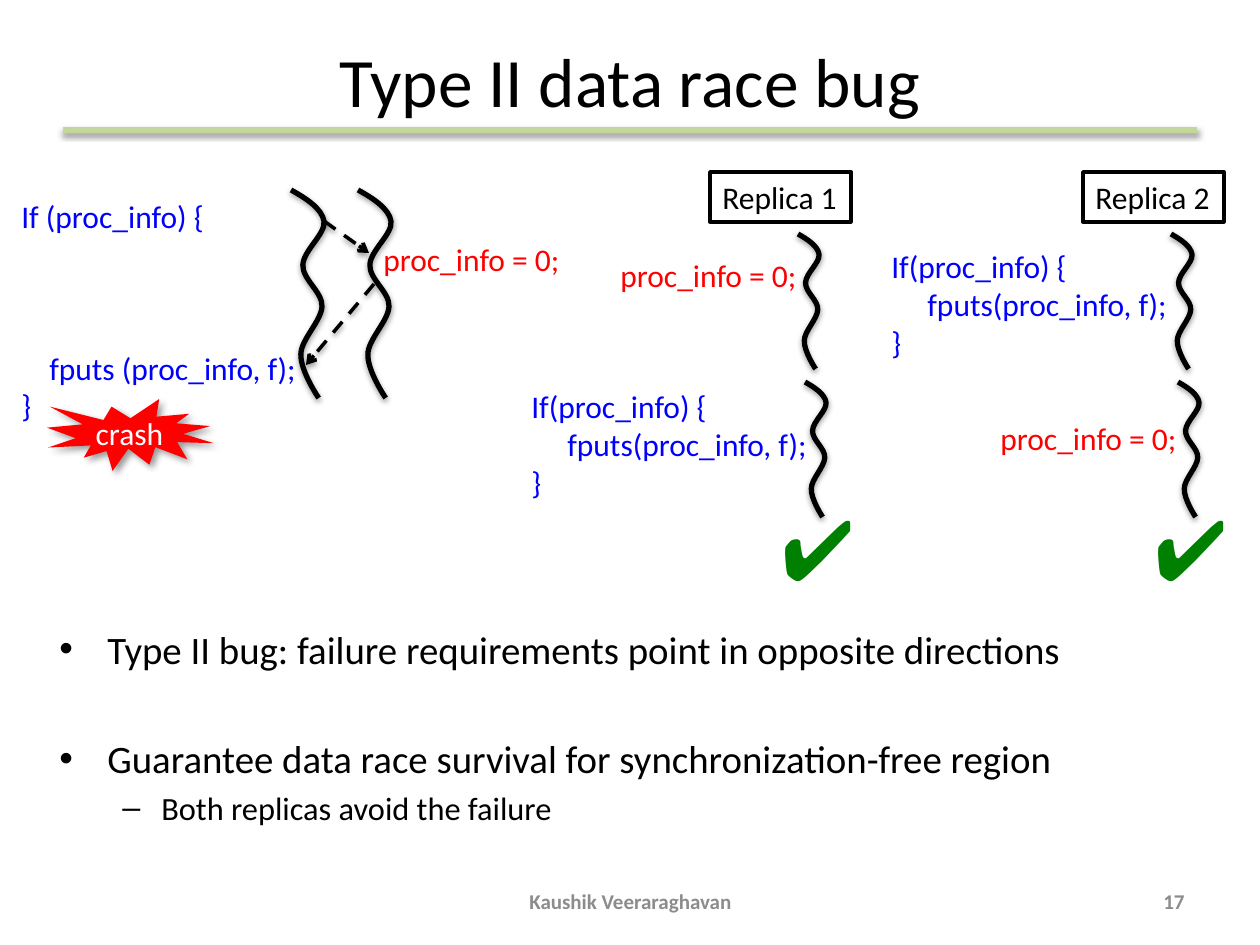
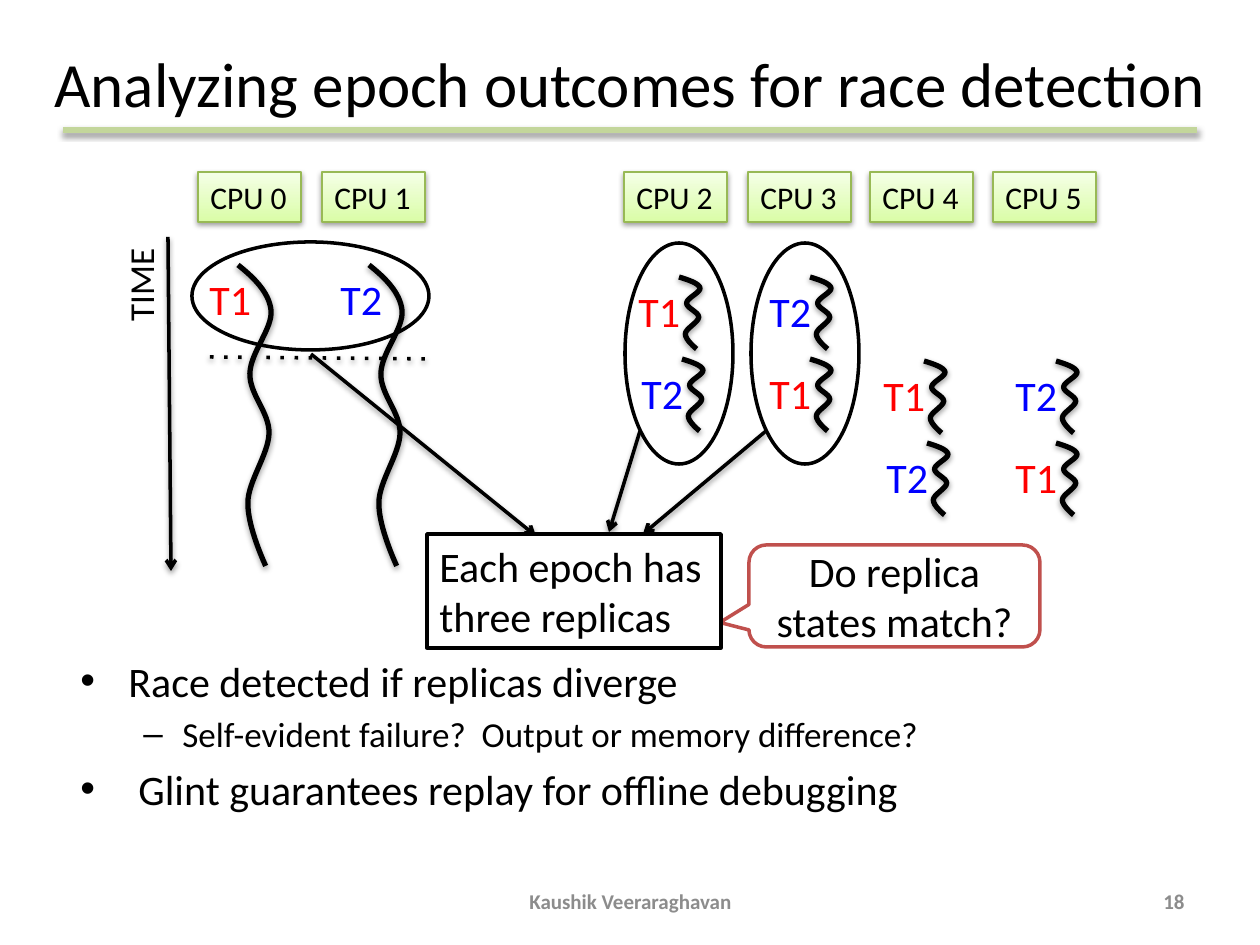
"""Build two slides on data race bugs and race detection from replica outcomes."""
from lxml.etree import SubElement
from pptx import Presentation
from pptx.dml.color import RGBColor
from pptx.enum.shapes import MSO_CONNECTOR, MSO_SHAPE
from pptx.enum.text import MSO_ANCHOR, MSO_AUTO_SIZE, PP_ALIGN
from pptx.oxml.ns import qn
from pptx.util import Pt

SCALE = 914400 / 126
BLACK = RGBColor(0x00, 0x00, 0x00)
WHITE = RGBColor(0xFF, 0xFF, 0xFF)
RED = RGBColor(0xFF, 0x00, 0x00)
BLUE = RGBColor(0x00, 0x00, 0xFF)
GREEN = RGBColor(0x00, 0x80, 0x00)
GRAY = RGBColor(0x8C, 0x8C, 0x8C)
RULE_GREEN = RGBColor(0xC3, 0xD6, 0x9B)
CPU_BORDER = RGBColor(0x98, 0xB9, 0x55)
CPU_DARK = RGBColor(0xDA, 0xFD, 0xA7)
CPU_LIGHT = RGBColor(0xF5, 0xFF, 0xE7)
CALLOUT_RED = RGBColor(0xC0, 0x50, 0x4D)

SOFT_SHADOW = {"blurRad": 40000, "dist": 20000, "dir": 5400000, "alpha": 38000}
SEAL_SHADOW = {"blurRad": 50800, "dist": 38100, "dir": 2700000, "alpha": 40000}
CENTER = {"alignment": PP_ALIGN.CENTER}
RIGHT = {"alignment": PP_ALIGN.RIGHT}
BULLET = {"bullet": "•", "margin": 48, "hanging": 48}
DASH = {"bullet": "–", "margin": 102, "hanging": 39}
MIDDLE = {"vertical_anchor": MSO_ANCHOR.MIDDLE, "word_wrap": True}
TOP = {"vertical_anchor": MSO_ANCHOR.TOP, "word_wrap": True}
HUGGING = {
    "vertical_anchor": MSO_ANCHOR.TOP,
    "word_wrap": False,
    "auto_size": MSO_AUTO_SIZE.SHAPE_TO_FIT_TEXT,
}
CURVE = [
    (0, 0), (46, 4), (94, 9), (100, 15),
    (106, 21), (38, 29), (36, 36),
    (34, 43), (96, 49), (94, 56),
    (92, 63), (30, 72), (30, 79),
    (28, 87), (84, 100), (84, 100),
]
shadowed = []


def add_block(slide, box, paragraphs, frame_format=HUGGING, kind=None,
              fill=None, border=None, border_width=2):
    left, top, width, height = [round(value * SCALE) for value in box]
    if kind is None:
        shape = slide.shapes.add_textbox(left, top, width, height)
    else:
        shape = slide.shapes.add_shape(kind, left, top, width, height)
        shape.shadow.inherit = False
        if fill is None:
            shape.fill.background()
        else:
            shape.fill.solid()
            shape.fill.fore_color.rgb = fill
        if border is None:
            shape.line.fill.background()
        else:
            shape.line.color.rgb = border
            shape.line.width = Pt(border_width)
    frame = shape.text_frame
    for name, value in frame_format.items():
        setattr(frame, name, value)
    for index, (text, size, color, layout) in enumerate(paragraphs):
        paragraph = frame.add_paragraph() if index else frame.paragraphs[0]
        run = paragraph.add_run()
        run.text = text
        font_format = {
            "name": "Arial" if text == "✔" else "Calibri",
            "size": Pt(size),
            "bold": layout.get("bold", False),
        }
        for name, value in font_format.items():
            setattr(run.font, name, value)
        run.font.color.rgb = color
        paragraph.alignment = layout.get("alignment", PP_ALIGN.LEFT)
        paragraph.space_before = Pt(layout.get("space_before", 0))
        paragraph.space_after = Pt(layout.get("space_after", 0))
        properties = paragraph._p.get_or_add_pPr()
        properties.set("marL", str(round(layout.get("margin", 0) * SCALE)))
        properties.set("indent", str(round(-layout.get("hanging", 0) * SCALE)))
        if "bullet" in layout:
            SubElement(properties, qn("a:buFont"), typeface="Arial")
            SubElement(properties, qn("a:buChar"), char=layout["bullet"])
    return shape


def add_thread(slide, left, top, width, height):
    points = [((left + width * x / 100) * SCALE, (top + height * y / 100) * SCALE)
              for x, y in CURVE]
    builder = slide.shapes.build_freeform(*points[0])
    builder.add_line_segments(points[1:], close=False)
    thread = builder.convert_to_shape()
    outline = next(thread._element.iter(qn("a:path")))
    for index, segment in enumerate(outline.findall(qn("a:lnTo"))):
        if index % 3 == 0:
            curve = SubElement(outline, qn("a:cubicBezTo"))
        curve.append(segment[0])
        outline.remove(segment)
    thread.fill.background()
    thread.line.color.rgb = BLACK
    thread.line.width = Pt(3)
    thread.shadow.inherit = False
    shadowed.append((thread, SOFT_SHADOW))


presentation = Presentation()
presentation.slide_width = round(1260 * SCALE)
presentation.slide_height = round(945 * SCALE)

slides = []
for number, title, size, title_box in [
    ("17", "Type II data race bug", 39.6, (63, 38, 1134, 83)),
    ("18", "Analyzing epoch outcomes for race detection", 36, (0, 38, 1260, 89)),
]:
    slide = presentation.slides.add_slide(presentation.slide_layouts[6])
    add_block(slide, title_box, [(title, size, BLACK, CENTER)], MIDDLE)
    for text, box, alignment in [
        ("Kaushik Veeraraghavan", (431, 876, 399, 50), CENTER),
        (number, (903, 876, 294, 50), RIGHT),
    ]:
        add_block(slide, box, [(text, 12, GRAY, {**alignment, "bold": True})], MIDDLE)
    slides.append(slide)
race_slide, epoch_slide = slides

add_block(race_slide, (47, 619, 1212, 198), [
    ("Type II bug: failure requirements point in opposite directions", 22.2, BLACK, BULLET),
    ("Guarantee data race survival for synchronization-free region", 22.2, BLACK,
     {**BULLET, "space_before": 36}),
    ("Both replicas avoid the failure", 18.5, BLACK, {**DASH, "space_before": 3.7}),
], TOP)

assignment = [("proc_info = 0;", 18, RED, {})]
add_block(race_slide, (371, 234, 203, 50), assignment)
seal = add_block(race_slide, (47, 399, 167, 72), [("crash", 18, WHITE, CENTER)], MIDDLE,
                 MSO_SHAPE.EXPLOSION1, RED)
shadowed.append((seal, SEAL_SHADOW))
add_block(race_slide, (9, 191, 304, 242), [
    ("If (proc_info) {", 18, BLUE, {}),
    ("fputs (proc_info, f);", 18, BLUE, {"margin": 28, "space_before": 65}),
    ("}", 18, BLUE, {}),
])
for left in (291, 358):
    add_thread(race_slide, left, 190, 33, 208)

guarded_call = [
    ("If(proc_info) {", 18, BLUE, {}),
    ("fputs(proc_info, f);", 18, BLUE, {"margin": 36}),
    ("}", 18, BLUE, {}),
]
for replica, left, assignment_at, call_at in [
    ("Replica 1", 710, (608, 250), (519, 381)),
    ("Replica 2", 1083, (988, 413), (879, 241)),
]:
    add_block(race_slide, (*assignment_at, 203, 50), assignment)
    add_block(race_slide, (*call_at, 304, 127), guarded_call)
    add_block(race_slide, (left, 172, 141, 50), [(replica, 18, BLACK, {})],
              HUGGING, MSO_SHAPE.RECTANGLE, WHITE, BLACK)
    add_thread(race_slide, left + 88, 234, 21, 135)
    add_thread(race_slide, left + 95, 382, 21, 135)
    add_block(race_slide, (left + 59, 490, 97, 115), [("✔", 48, GREEN, {})])

for cpu, left in enumerate((198, 322, 624, 748, 870, 993)):
    cpu_box = add_block(epoch_slide, (left, 172, 103, 50), [(f"CPU {cpu}", 18, BLACK, {})],
                        TOP, MSO_SHAPE.RECTANGLE, CPU_DARK, CPU_BORDER, 0.75)
    cpu_box.fill.gradient()
    cpu_box.fill.gradient_angle = 90
    for stop, color in zip(cpu_box.fill.gradient_stops, (CPU_DARK, CPU_LIGHT)):
        stop.color.rgb = color
    shadowed.append((cpu_box, SOFT_SHADOW))

add_block(epoch_slide, (68, 649, 1113, 185), [
    ("Race detected if replicas diverge", 24, BLACK, BULLET),
    ("Self-evident failure?  Output or memory difference?", 20, BLACK,
     {**DASH, "space_before": 4}),
    ("Glint guarantees replay for offline debugging", 24, BLACK,
     {"bullet": "•", "margin": 58, "hanging": 58, "space_before": 4.8}),
], TOP)

thread_colors = {"T1": RED, "T2": BLUE}
for left, top, order, shift in [
    (679, 277, ("T1", "T2"), 3),
    (810, 277, ("T2", "T1"), 0),
    (924, 361, ("T1", "T2"), 3),
    (1056, 361, ("T2", "T1"), 0),
]:
    for row, name in enumerate(order):
        x, y = left + row * shift, top + row * 82
        add_block(epoch_slide, (x - 53, y + 2, 68, 63), [(name, 24, thread_colors[name], {})])
        add_thread(epoch_slide, x, y, 21, 72)
for name, left in (("T1", 238), ("T2", 369)):
    add_block(epoch_slide, (left - 41, 267, 68, 63), [(name, 24, thread_colors[name], {})])
    add_thread(epoch_slide, left, 265, 33, 301)

for box in [(625, 243, 108, 221), (751, 243, 108, 221), (192, 242, 237, 108)]:
    add_block(epoch_slide, box, [], TOP, MSO_SHAPE.OVAL, border=BLACK)

time_label = add_block(epoch_slide, (113, 247, 68, 87), [("TIME", 20, BLACK, {})])
time_label.text_frame._txBody.bodyPr.set("vert", "vert270")

for slide, start, end, color, width, dash, arrow in [
    (race_slide, (63, 130), (1197, 130), RULE_GREEN, 3.5, "solid", False),
    (epoch_slide, (63, 130), (1197, 130), RULE_GREEN, 3.5, "solid", False),
    (race_slide, (324, 221), (369, 253), BLACK, 2, "dash", True),
    (race_slide, (374, 284), (306, 365), BLACK, 2, "dash", True),
    (epoch_slide, (168, 237), (171, 571), BLACK, 2, "solid", True),
    (epoch_slide, (210, 357), (432, 359), BLACK, 2, "dot", False),
    (epoch_slide, (311, 354), (536, 536), BLACK, 2, "solid", True),
    (epoch_slide, (640, 431), (609, 532), BLACK, 2, "solid", True),
    (epoch_slide, (766, 431), (643, 534), BLACK, 2, "solid", True),
]:
    ends = [round(value * SCALE) for value in (*start, *end)]
    connector = slide.shapes.add_connector(MSO_CONNECTOR.STRAIGHT, *ends)
    connector.line.color.rgb = color
    connector.line.width = Pt(width)
    outline = connector.line._get_or_add_ln()
    if dash != "solid":
        SubElement(outline, qn("a:prstDash"), val=dash)
    if arrow:
        SubElement(outline, qn("a:tailEnd"), type="arrow")

callout = add_block(epoch_slide, (749, 545, 291, 102),
                    [("Do replica states match?", 24, BLACK, {**CENTER, "space_after": 6})],
                    MIDDLE, MSO_SHAPE.ROUNDED_RECTANGULAR_CALLOUT, WHITE, CALLOUT_RED)
for index, value in enumerate((-0.6, 0.26, 0.17)):
    callout.adjustments[index] = value
add_block(epoch_slide, (427, 534, 294, 114), [("Each epoch has three replicas", 24, BLACK, {})],
          TOP, MSO_SHAPE.RECTANGLE, WHITE, BLACK)

for shape, shadow in shadowed:
    effects = shape._element.spPr.find(qn("a:effectLst"))
    outer = SubElement(effects, qn("a:outerShdw"), rotWithShape="0")
    for name in ("blurRad", "dist", "dir"):
        outer.set(name, str(shadow[name]))
    color = SubElement(outer, qn("a:srgbClr"), val="000000")
    SubElement(color, qn("a:alpha"), val=str(shadow["alpha"]))

presentation.save("out.pptx")
